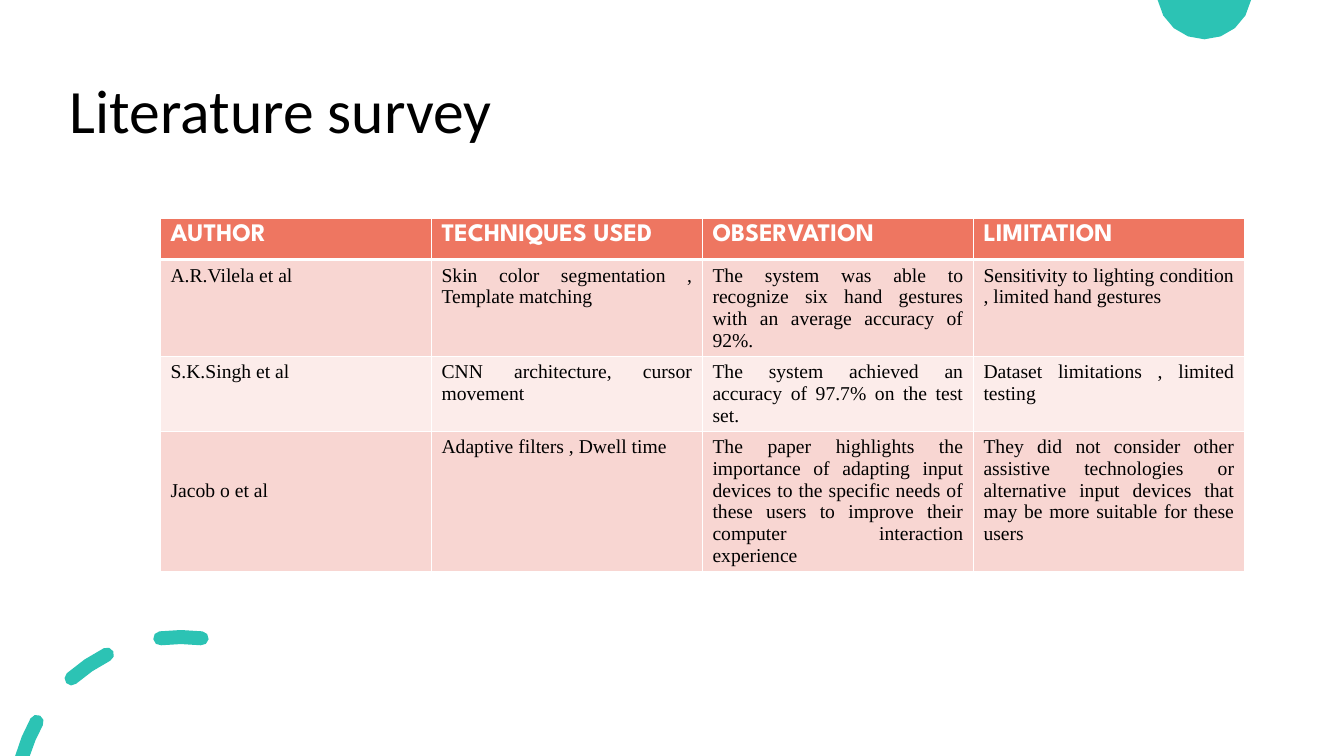
from math import acos, cos, degrees, radians, sin

from lxml.etree import SubElement
from pptx import Presentation
from pptx.dml.color import RGBColor
from pptx.enum.text import MSO_ANCHOR, PP_ALIGN
from pptx.oxml.ns import qn
from pptx.util import Inches, Pt

TEAL, CORAL, WHITE, BLACK = "2CC3B4", "EE7661", "FFFFFF", "000000"
ROW_FILLS = ["F8D6D2", "FCECEA"]
HEADINGS = ["AUTHOR", "TECHNIQUES USED", "OBSERVATION", "LIMITATION"]
PAPERS = [
    ["A.R.Vilela et al", "Skin color segmentation , Template matching",
     "The system was able to recognize six hand gestures with an average accuracy of 92%.",
     "Sensitivity to lighting condition , limited hand gestures"],
    ["S.K.Singh et al", "CNN architecture, cursor movement",
     "The system achieved an accuracy of 97.7% on the test set.",
     "Dataset limitations , limited testing"],
    ["Jacob o et al", "Adaptive filters , Dwell time",
     "The paper highlights the importance of adapting input devices to the specific needs "
     "of these users to improve their computer interaction experience",
     "They did not consider other assistive technologies or alternative input devices that "
     "may be more suitable for these users"],
]


def color(hex_string):
    """Turn a hex string into a colour."""
    return RGBColor.from_string(hex_string)


def arc(center, radius, start, end, steps):
    """List points on an arc, with angles in degrees counterclockwise from the top."""
    angles = [radians(start + (end - start) * step / steps) for step in range(steps + 1)]
    return [(center[0] - radius * sin(a), center[1] - radius * cos(a)) for a in angles]


def dash(center, radius, half_width, start, end, bottom=100):
    """Outline a round-ended arc, cut flat at the slide bottom where end is None."""
    outer, inner = radius + half_width, radius - half_width
    cuts = [degrees(acos((center[1] - bottom) / edge)) for edge in (outer, inner)]
    outer_end, inner_end = cuts if end is None else (end, end)
    points = arc(center, outer, start, outer_end, 2)
    if end is not None:
        tip = arc(center, radius, end, end, 1)[0]
        points += arc(tip, half_width, end, end + 180, 4)[1:-1]
    points += arc(center, inner, inner_end, start, 2)
    tail = arc(center, radius, start, start, 1)[0]
    return points + arc(tail, half_width, start + 180, start + 360, 4)[1:-1]


class Deck:
    """Hold the style and current slide; lengths are percent of slide height."""

    def __init__(self):
        """Open a widescreen presentation with one title-only slide."""
        self.presentation = Presentation()
        self.presentation.slide_width = Inches(13.33)
        self.presentation.slide_height = Inches(7.5)
        self.slide = self.presentation.slides.add_slide(self.presentation.slide_layouts[5])

    def length(self, share):
        """Convert a percentage of the slide height."""
        return round(self.presentation.slide_height * share / 100)

    def run(self, paragraph, text, font, size, hex_string, bold=False):
        """Add one styled run."""
        run = paragraph.add_run()
        run.text = text
        run.font.name, run.font.size, run.font.bold = font, Pt(size), bold
        run.font.color.rgb = color(hex_string)

    def title(self, text, left, top, width, height):
        """Place and fill the title placeholder."""
        shape = self.slide.shapes.title
        shape.left, shape.top = self.length(left), self.length(top)
        shape.width, shape.height = self.length(width), self.length(height)
        shape.text_frame.vertical_anchor = MSO_ANCHOR.MIDDLE
        paragraph = shape.text_frame.paragraphs[0]
        paragraph.alignment, paragraph.line_spacing = PP_ALIGN.LEFT, 0.9
        self.run(paragraph, text, "Calibri", 44, BLACK)

    def outline(self, contours, fill):
        """Draw closed contours as one filled shape."""
        contours = [[(self.length(x), self.length(y)) for x, y in points] for points in contours]
        builder = self.slide.shapes.build_freeform(*contours[0][0])
        for number, points in enumerate(contours):
            if number:
                builder.move_to(*points[0])
            builder.add_line_segments(points[1:])
        shape = builder.convert_to_shape()
        shape.shadow.inherit = False
        shape.fill.solid()
        shape.fill.fore_color.rgb = color(fill)
        shape.line.fill.background()

    def borders(self, cell, widths):
        """Give a cell white borders, ahead of its fill."""
        properties = cell._tc.get_or_add_tcPr()
        for side, width in widths.items():
            line = SubElement(properties, qn(f"a:ln{side}"), w=str(Pt(width)))
            fill = SubElement(line, qn("a:solidFill"))
            SubElement(fill, qn("a:srgbClr"), val=WHITE)

    def cell(self, cell, text, fill, heading):
        """Style one table cell and write its text."""
        self.borders(cell, {"L": 1, "R": 1, "T": 1, "B": 3 if heading else 1})
        cell.fill.solid()
        cell.fill.fore_color.rgb = color(fill)
        paragraph = cell.text_frame.paragraphs[0]
        if heading:
            self.run(paragraph, text, "League Spartan", 18, WHITE, True)
        else:
            paragraph.alignment = PP_ALIGN.JUSTIFY
            self.run(paragraph, text, "Times New Roman", 14, BLACK)

    def table(self, rows, left, top, column_width, heights):
        """Add a table with a heading row and alternating row fills."""
        columns = len(rows[0])
        frame = self.slide.shapes.add_table(
            len(rows), columns, self.length(left), self.length(top),
            self.length(column_width * columns), self.length(sum(heights)))
        for row_number, (texts, height) in enumerate(zip(rows, heights)):
            frame.table.rows[row_number].height = self.length(height)
            fill = ROW_FILLS[(row_number - 1) % 2] if row_number else CORAL
            for column_number, text in enumerate(texts):
                self.cell(frame.table.cell(row_number, column_number), text, fill, row_number == 0)
        return frame.table


def main():
    """Build the literature survey slide."""
    deck = Deck()
    deck.outline([arc((159.27, -1.07), 6.27, 99.8, 260.2, 8)], TEAL)
    dash_spans = [(60.9, None), (26.6, 41.5), (-7.2, 7.2)]
    deck.outline([dash((23.93, 106.1), 21.83, 0.93, *span) for span in dash_spans], TEAL)
    deck.title("Literature survey", 7.87, 5.33, 153.33, 19.33)
    table = deck.table([HEADINGS] + PAPERS, 21.22, 28.93, 35.84, [5.4, 12.7, 9.87, 18.5])
    table.cell(3, 0).margin_top = deck.length(6.4)
    deck.presentation.save("out.pptx")


if __name__ == "__main__":
    main()
